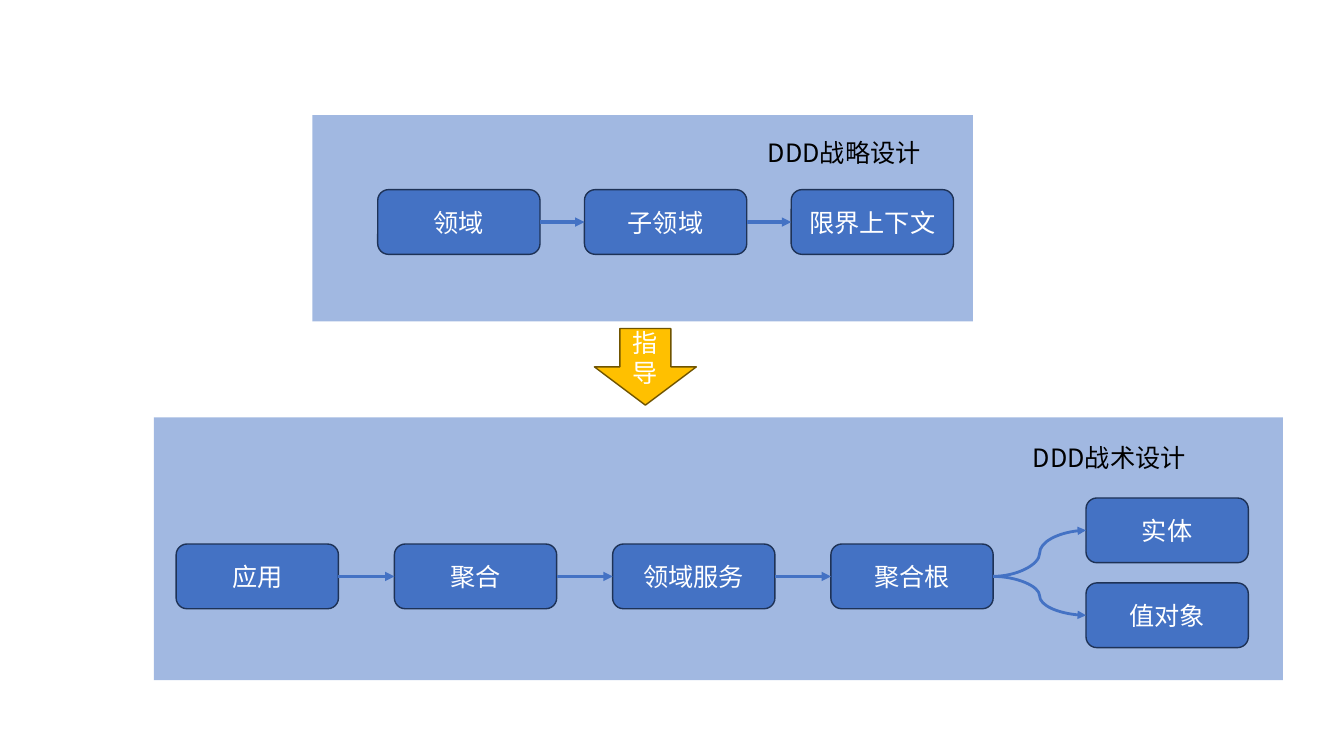
from itertools import pairwise

from lxml.etree import SubElement
from pptx import Presentation
from pptx.dml.color import RGBColor
from pptx.enum.shapes import MSO_CONNECTOR as Link, MSO_SHAPE as Kind
from pptx.enum.text import MSO_ANCHOR as Anchor, MSO_AUTO_SIZE as Fit, PP_ALIGN as Align
from pptx.oxml.ns import qn
from pptx.util import Cm, Pt

BLUE = RGBColor(0x44, 0x72, 0xC4)
NAVY = RGBColor(0x1E, 0x32, 0x56)
GOLD = RGBColor(0xFF, 0xC0, 0x00)
BROWN = RGBColor(0x70, 0x54, 0x00)
WHITE = RGBColor(0xFF, 0xFF, 0xFF)
BLACK = RGBColor(0x00, 0x00, 0x00)
RIGHT, LEFT = 3, 1


class Board:
    font = "Noto Sans CJK SC"
    size = Pt(18)
    box_w, box_h = 4.09, 1.63

    def __init__(self, slide):
        self.shapes = slide.shapes

    def add_text(self, frame, text, color, align):
        frame.word_wrap = True
        para = frame.paragraphs[0]
        para.alignment = align
        run = para.add_run()
        run.text = text
        run.font.size = self.size
        run.font.name = self.font
        run.font.color.rgb = color
        SubElement(run._r.get_or_add_rPr(), qn("a:ea"), typeface=self.font)

    def shape(self, kind, x, y, w, h, fill):
        item = self.shapes.add_shape(kind, Cm(x), Cm(y), Cm(w), Cm(h))
        item.shadow.inherit = False
        item.fill.solid()
        item.fill.fore_color.rgb = fill
        return item

    def panel(self, x, y, w, h):
        """Half-transparent backdrop without an outline."""
        item = self.shape(Kind.RECTANGLE, x, y, w, h, BLUE)
        item.line.fill.background()
        color = item._element.spPr.find(qn("a:solidFill"))[0]
        SubElement(color, qn("a:alpha"), val="50000")

    def label(self, text, x, y):
        item = self.shapes.add_textbox(Cm(x), Cm(y), Cm(4.9), Cm(1.03))
        item.text_frame.auto_size = Fit.SHAPE_TO_FIT_TEXT
        self.add_text(item.text_frame, text, BLACK, Align.LEFT)

    def block(self, kind, text, x, y, w, h, fill, edge):
        """Outlined shape with centred white text."""
        item = self.shape(kind, x, y, w, h, fill)
        item.line.color.rgb = edge
        item.line.width = Pt(1)
        item.text_frame.vertical_anchor = Anchor.MIDDLE
        self.add_text(item.text_frame, text, WHITE, Align.CENTER)
        return item

    def box(self, text, x, y):
        return self.block(Kind.ROUNDED_RECTANGLE, text, x, y,
                          self.box_w, self.box_h, BLUE, NAVY)

    def link(self, start, end, kind=Link.STRAIGHT, width=2.25):
        """Arrow from the right side of start to the left side of end."""
        line = self.shapes.add_connector(kind, 0, 0, 0, 0)
        line.begin_connect(start, RIGHT)
        line.end_connect(end, LEFT)
        line.line.color.rgb = BLUE
        line.line.width = Pt(width)
        props = line._element.spPr
        SubElement(props.find(qn("a:ln")), qn("a:tailEnd"), type="triangle")
        SubElement(props, qn("a:effectLst"))

    def chain(self, words, x, y, step):
        """Row of boxes joined by arrows; returns the last box."""
        boxes = [self.box(word, x + i * step, y) for i, word in enumerate(words)]
        for start, end in pairwise(boxes):
            self.link(start, end)
        return boxes[-1]


def main():
    deck = Presentation()
    deck.slide_width, deck.slide_height = Cm(33.87), Cm(19.05)
    board = Board(deck.slides.add_slide(deck.slide_layouts[6]))

    board.panel(7.87, 2.9, 16.65, 5.2)
    board.panel(3.88, 10.52, 28.45, 6.62)
    board.label("DDD战略设计", 19.1, 3.33)
    board.label("DDD战术设计", 25.78, 11.02)

    board.chain(["领域", "子领域", "限界上下文"], 9.52, 4.78, 5.21)
    board.block(Kind.DOWN_ARROW, "指导", 14.98, 8.28, 2.57, 1.93, GOLD, BROWN)
    root = board.chain(["应用", "聚合", "领域服务", "聚合根"], 4.44, 13.71, 5.5)
    for word, y in (("实体", 12.55), ("值对象", 14.69)):
        board.link(root, board.box(word, 27.37, y), Link.CURVE, 2)

    deck.save("out.pptx")


if __name__ == "__main__":
    main()
